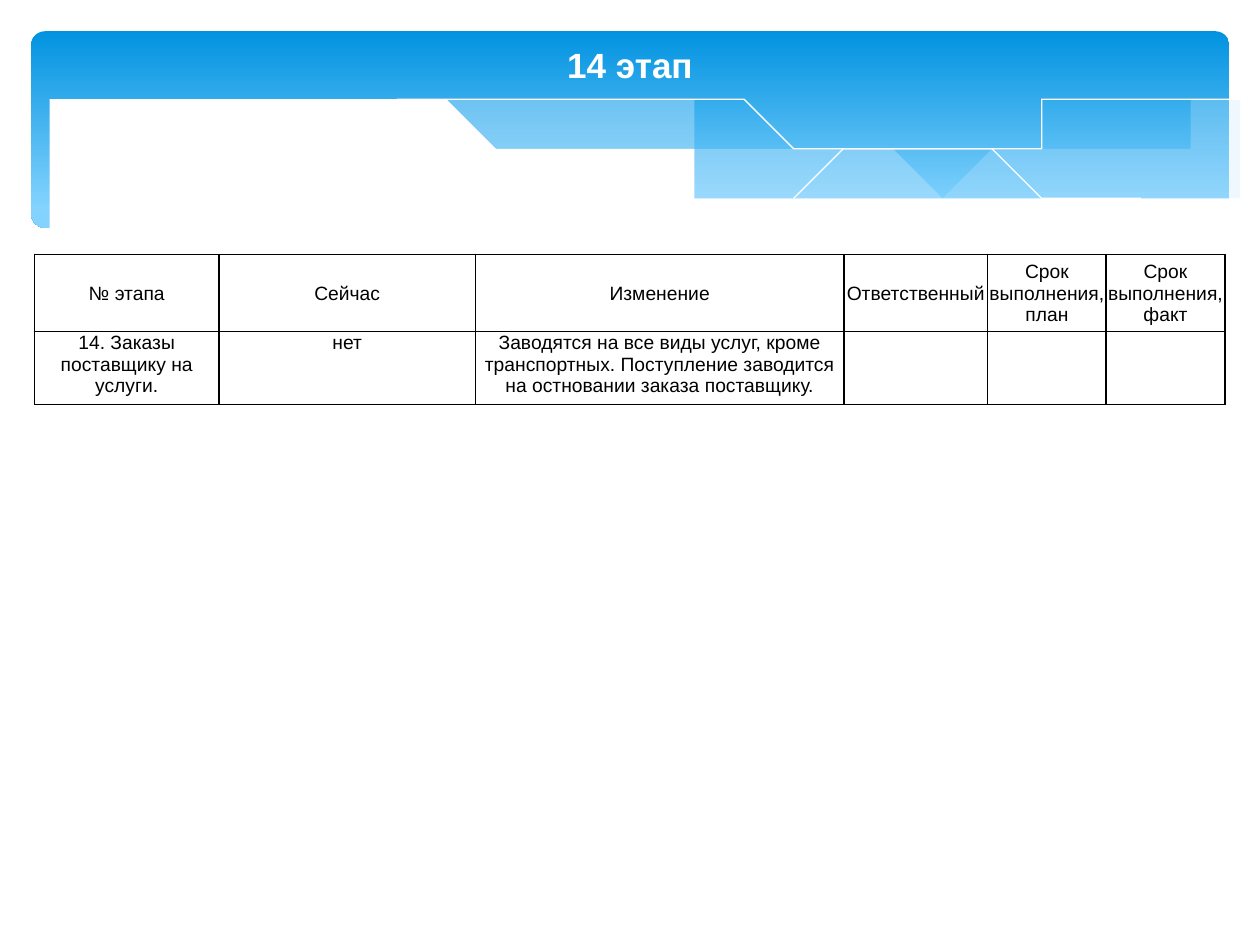
"""Build the slide for stage 14: wave banner, title and a table of changes."""
from lxml.etree import SubElement
from pptx import Presentation
from pptx.dml.color import RGBColor
from pptx.enum.shapes import MSO_SHAPE as Shape
from pptx.enum.text import MSO_ANCHOR as Anchor, MSO_AUTO_SIZE as AutoSize, PP_ALIGN as Align
from pptx.oxml.ns import qn
from pptx.util import Cm, Pt


def color(text):
    """Return the colour for a hex string."""
    return RGBColor.from_string(text)


def curve(knots, steps=6):
    """Return points in centimetres on a smooth curve through the knots."""
    padded = [knots[0], *knots, knots[-1]]
    points = [knots[0]]
    for a, b, c, d in zip(padded, padded[1:], padded[2:], padded[3:]):
        for step in range(1, steps + 1):
            t = step / steps
            points.append(tuple(
                q + t / 2 * (r - p + t * (2 * p - 5 * q + 4 * r - s + t * (3 * (q - r) + s - p)))
                for p, q, r, s in zip(a, b, c, d)))
    return points


presentation = Presentation()
presentation.slide_width, presentation.slide_height = Cm(25.4), Cm(19.05)
slide = presentation.slides.add_slide(presentation.slide_layouts[5])

banner = slide.shapes.add_shape(Shape.ROUNDED_RECTANGLE, Cm(0.63), Cm(0.63), Cm(24.15), Cm(3.96))
banner.adjustments[0] = 0.07
banner.shadow.inherit = False
banner.line.fill.background()
banner.fill.gradient()
banner.fill.gradient_angle = 270
for stop, (position, shade) in zip(banner.fill.gradient_stops, [(0, "0293E0"), (0.9, "83D3FE")]):
    stop.position = position
    stop.color.rgb = color(shade)

right_wave = (
    curve([(24.78, 2.39), (23.39, 2.64), (21.87, 3), (19.79, 3.48), (17.93, 3.86), (16.79, 4.06)])
    + curve([(16.79, 4.06), (18.26, 4.24), (20.12, 4.37), (21.69, 4.32), (23.19, 4.11),
             (24.78, 3.58)]))
middle_wave = (
    curve([(22.68, 4.24), (20.5, 3.91), (17.93, 3.4), (15.98, 2.95), (13.74, 2.46),
           (11.81, 2.18), (9.65, 2.03), (8.33, 2.06), (7.26, 2.18)])
    + curve([(7.26, 2.18), (8.69, 2.39), (11.4, 2.95), (14.38, 3.63), (16.51, 4.01),
             (18.34, 4.27), (20.22, 4.39), (21.54, 4.37), (22.68, 4.24)]))
falling_line = curve([(7.85, 2.29), (8.97, 2.13), (10.57, 2.06), (12.42, 2.13), (14.78, 2.39),
                      (17.65, 2.9), (20.19, 3.45), (23.04, 4.22)])
rising_line = curve([(15.57, 3.84), (17.65, 3.3), (19.71, 2.82), (22, 2.36), (23.47, 2.13),
                     (24.77, 2.03)])
white_wave = curve([(24.82, 3.58), (23.62, 3.99), (22.23, 4.24), (20.55, 4.34), (18.44, 4.24),
                    (15.9, 3.89), (13.44, 3.38), (11.35, 2.9), (9.27, 2.44), (6.88, 2.08),
                    (4.9, 1.98), (3.02, 2.08), (1.7, 2.31), (0.58, 2.72)])
white_wave += [(0.58, 5.69), (24.82, 5.69)]

for points, fill, opacity in [
    (right_wave, "C6E7FC", 29),
    (middle_wave, "C6E7FC", 40),
    (falling_line, None, 100),
    (rising_line, None, 100),
    (white_wave, "FFFFFF", 100),
]:
    builder = slide.shapes.build_freeform(*points[0], scale=float(Cm(1)))
    builder.add_line_segments(points[1:], close=fill is not None)
    shape = builder.convert_to_shape()
    shape.shadow.inherit = False
    if fill:
        shape.line.fill.background()
        shape.fill.solid()
        shape.fill.fore_color.rgb = color(fill)
        if opacity < 100:
            rgb = shape.fill._xPr.find(".//" + qn("a:srgbClr"))
            SubElement(rgb, qn("a:alpha"), val=str(opacity * 1000))
    else:
        shape.fill.background()
        shape.line.color.rgb = color("FFFFFF")
        shape.line.width = Pt(0)

title = slide.shapes.title
title.element.getparent().append(title.element)
title.left, title.top, title.width, title.height = Cm(0.7), Cm(0.74), Cm(24), Cm(1.11)
title.text_frame.text = "14 этап"
title.text_frame.auto_size = AutoSize.SHAPE_TO_FIT_TEXT
title.text_frame.vertical_anchor = Anchor.MIDDLE
paragraph = title.text_frame.paragraphs[0]
paragraph.alignment = Align.CENTER
paragraph.font.name, paragraph.font.size, paragraph.font.bold = "Arial", Pt(20), True
paragraph.font.color.rgb = color("FFFFFF")

rows = [
    ["№ этапа", "Сейчас", "Изменение", "Ответственный",
     "Срок выполнения, план", "Срок выполнения, факт"],
    ["14. Заказы поставщику на услуги.", "нет",
     "Заводятся на все виды услуг, кроме транспортных. "
     "Поступление заводится на остновании заказа поставщику.", "", "", ""],
]
widths = [3.71, 5.18, 7.42, 2.9, 2.39, 2.39]
heights = [1.55, 1.47]
table = slide.shapes.add_table(
    len(rows), len(widths), Cm(0.7), Cm(5.13), Cm(sum(widths)), Cm(sum(heights))).table
table.first_row = table.horz_banding = False
for column, width in zip(table.columns, widths):
    column.width = Cm(width)
for row, height in zip(table.rows, heights):
    row.height = Cm(height)

for row_index, texts in enumerate(rows):
    for column_index, text in enumerate(texts):
        cell = table.cell(row_index, column_index)
        cell.text = text
        cell.vertical_anchor = Anchor.TOP if row_index else Anchor.MIDDLE
        cell.margin_left = cell.margin_right = cell.margin_top = Cm(0.02)
        cell.margin_bottom = 0
        properties = cell._tc.get_or_add_tcPr()
        for side in ("lnL", "lnR", "lnT", "lnB"):
            border = SubElement(properties, qn("a:" + side), w=str(Pt(1)))
            SubElement(SubElement(border, qn("a:solidFill")), qn("a:srgbClr"), val="000000")
        cell.fill.background()
        paragraph = cell.text_frame.paragraphs[0]
        paragraph.alignment = Align.CENTER
        paragraph.font.name, paragraph.font.size = "Arial", Pt(11)
        paragraph.font.color.rgb = color("000000")

presentation.save("out.pptx")
